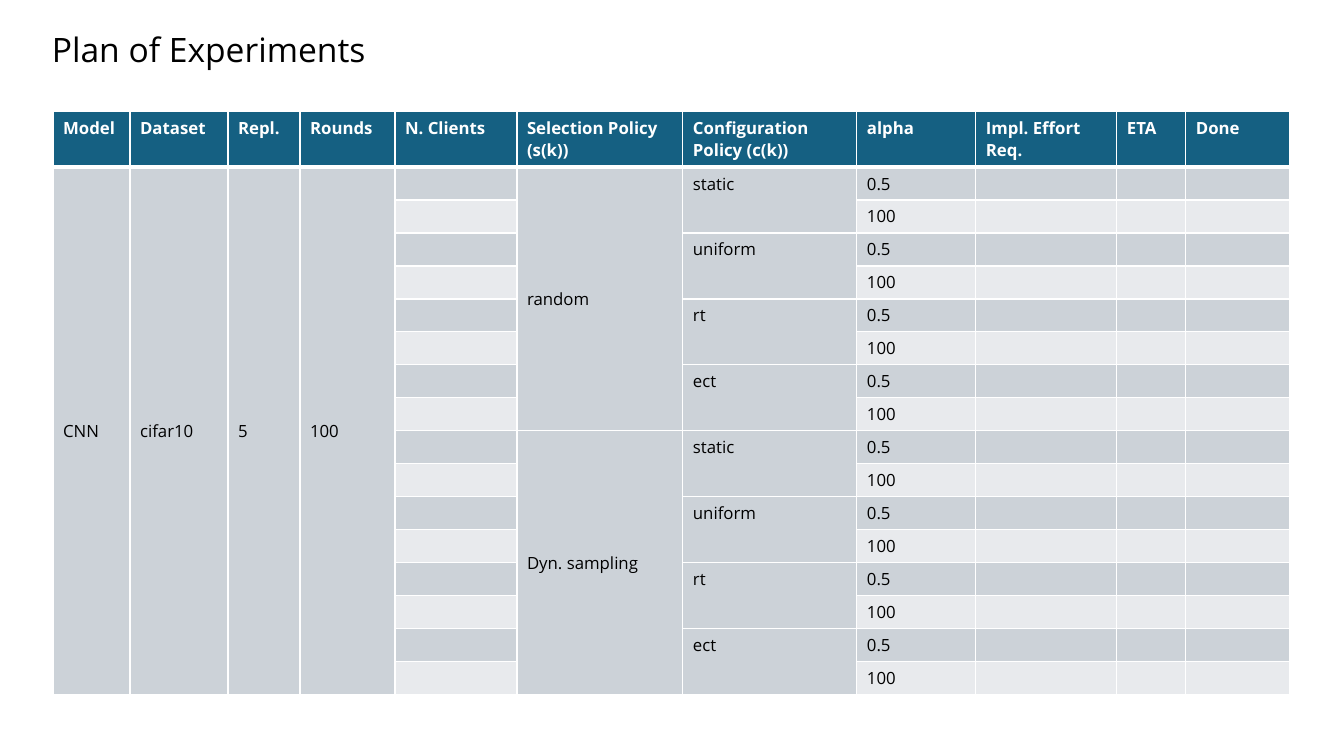
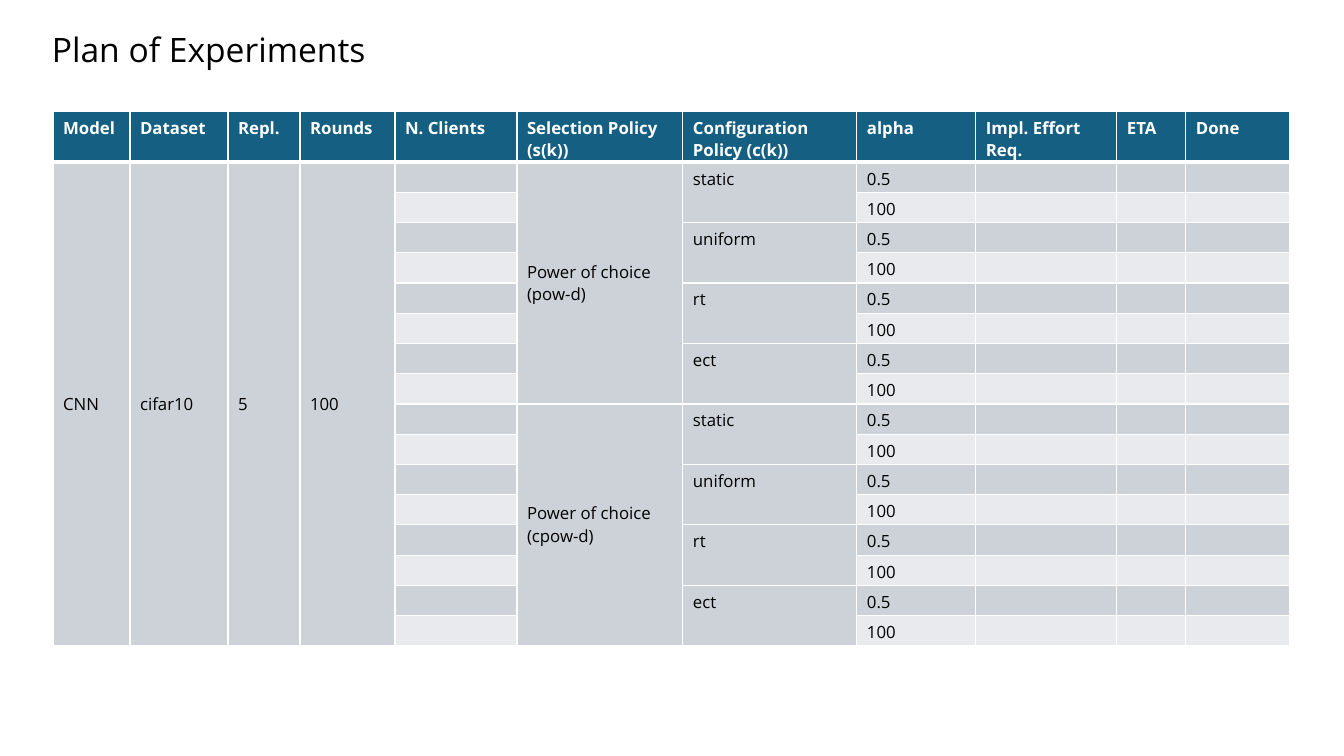
from lxml import etree
from pptx import Presentation
from pptx.dml.color import RGBColor
from pptx.enum.text import MSO_ANCHOR, MSO_AUTO_SIZE
from pptx.oxml.ns import qn
from pptx.util import Pt

MIDDLE = MSO_ANCHOR.MIDDLE
GROW = MSO_AUTO_SIZE.SHAPE_TO_FIT_TEXT

EMU_PER_PX = 914400 / 100.8
FONT = "Open Sans"
COLORS = {
    "text": "000000",
    "header": "156082",
    "header_text": "FFFFFF",
    "band_dark": "CCD2D8",
    "band_light": "E8EAED",
    "border": "FFFFFF",
}

TITLE = "Plan of Experiments"
HEADERS = ["Model", "Dataset", "Repl.", "Rounds", "N. Clients", "Selection Policy (s(k))",
           "Configuration Policy (c(k))", "alpha", "Impl. Effort Req.", "ETA", "Done"]
COLUMN_WIDTHS = [77, 98, 72, 95, 122, 166, 174, 119, 141, 69, 104]
SETUP = ["CNN", "cifar10", "5", "100"]
CONFIGURATIONS = ["static", "uniform", "rt", "ect"]
ALPHAS = ["0.5", "100"]
SELECTION_COLUMN, CONFIGURATION_COLUMN, ALPHA_COLUMN = 5, 6, 7
PLANS = [
    {"selections": ["random", "Dyn. sampling"],
     "header_height": 56, "body_height": 528, "tight": False},
    {"selections": ["Power of choice (pow-d)", "Power of choice (cpow-d)"],
     "header_height": 51, "body_height": 484, "tight": True},
]
ROWS_PER_CONFIGURATION = len(ALPHAS)
ROWS_PER_SELECTION = len(CONFIGURATIONS) * ROWS_PER_CONFIGURATION


def px(length):
    return round(length * EMU_PER_PX)


def add_span(paragraph, text, size, color, bold=False):
    span = paragraph.add_run()
    span.text = text
    span.font.name = FONT
    span.font.size = Pt(size)
    span.font.bold = bold
    span.font.color.rgb = RGBColor.from_string(COLORS[color])


deck = Presentation()
deck.slide_width, deck.slide_height = px(1344), px(756)

for plan in PLANS:
    page = deck.slides.add_slide(deck.slide_layouts[6])
    body_rows = len(plan["selections"]) * ROWS_PER_SELECTION

    # Cell texts and vertical merges, keyed by (row, column)
    texts = {(0, column): header for column, header in enumerate(HEADERS)}
    merges = {}
    for column, value in enumerate(SETUP):
        texts[1, column] = value
        merges[1, column] = body_rows
    for row in range(body_rows):
        configuration, alpha = divmod(row, ROWS_PER_CONFIGURATION)
        texts[row + 1, ALPHA_COLUMN] = ALPHAS[alpha]
        if alpha == 0:
            position = row + 1, CONFIGURATION_COLUMN
            texts[position] = CONFIGURATIONS[configuration % len(CONFIGURATIONS)]
            merges[position] = ROWS_PER_CONFIGURATION
        if row % ROWS_PER_SELECTION == 0:
            position = row + 1, SELECTION_COLUMN
            texts[position] = plan["selections"][row // ROWS_PER_SELECTION]
            merges[position] = ROWS_PER_SELECTION

    frame = page.shapes.add_table(
        body_rows + 1, len(HEADERS), px(53), px(111), px(sum(COLUMN_WIDTHS)),
        px(plan["header_height"] + plan["body_height"]))
    table = frame.table
    for column, width in enumerate(COLUMN_WIDTHS):
        table.columns[column].width = px(width)
    for row in range(body_rows + 1):
        table.rows[row].height = (px(plan["body_height"] / body_rows) if row
                                  else px(plan["header_height"]))

    for row in range(body_rows + 1):
        for column in range(len(HEADERS)):
            cell = table.cell(row, column)
            position = row, column
            if row == 0:
                fill, color = "header", "header_text"
            else:
                fill = "band_dark" if row % 2 else "band_light"
                color = "text"
            cell.fill.solid()
            cell.fill.fore_color.rgb = RGBColor.from_string(COLORS[fill])
            centred = merges.get(position, 1) > ROWS_PER_CONFIGURATION
            if centred:
                cell.vertical_anchor = MIDDLE
            elif plan["tight"]:
                cell.margin_bottom = 0

            paragraph = cell.text_frame.paragraphs[0]
            if position in texts:
                add_span(paragraph, texts[position], 12, color, bold=row == 0)
            else:
                etree.SubElement(paragraph._p, qn("a:endParaRPr"), sz="1200")
                latin = etree.SubElement(paragraph._p[-1], qn("a:latin"))
                latin.set("typeface", FONT)

            properties = cell._tc.get_or_add_tcPr()
            for index, side in enumerate(["lnL", "lnR", "lnT", "lnB"]):
                thick = (row, side) in [(0, "lnB"), (1, "lnT")]
                line = etree.Element(qn(f"a:{side}"), w=str(Pt(3 if thick else 1)))
                solid = etree.SubElement(line, qn("a:solidFill"))
                etree.SubElement(solid, qn("a:srgbClr"), val=COLORS["border"])
                properties.insert(index, line)

    for (row, column), span_rows in merges.items():
        table.cell(row, column).merge(table.cell(row + span_rows - 1, column))

    title_box = page.shapes.add_textbox(px(42), px(24), px(456), px(50))
    title_box.text_frame.word_wrap = True
    title_box.text_frame.auto_size = GROW
    add_span(title_box.text_frame.paragraphs[0], TITLE, 24, "text")

deck.save("out.pptx")
